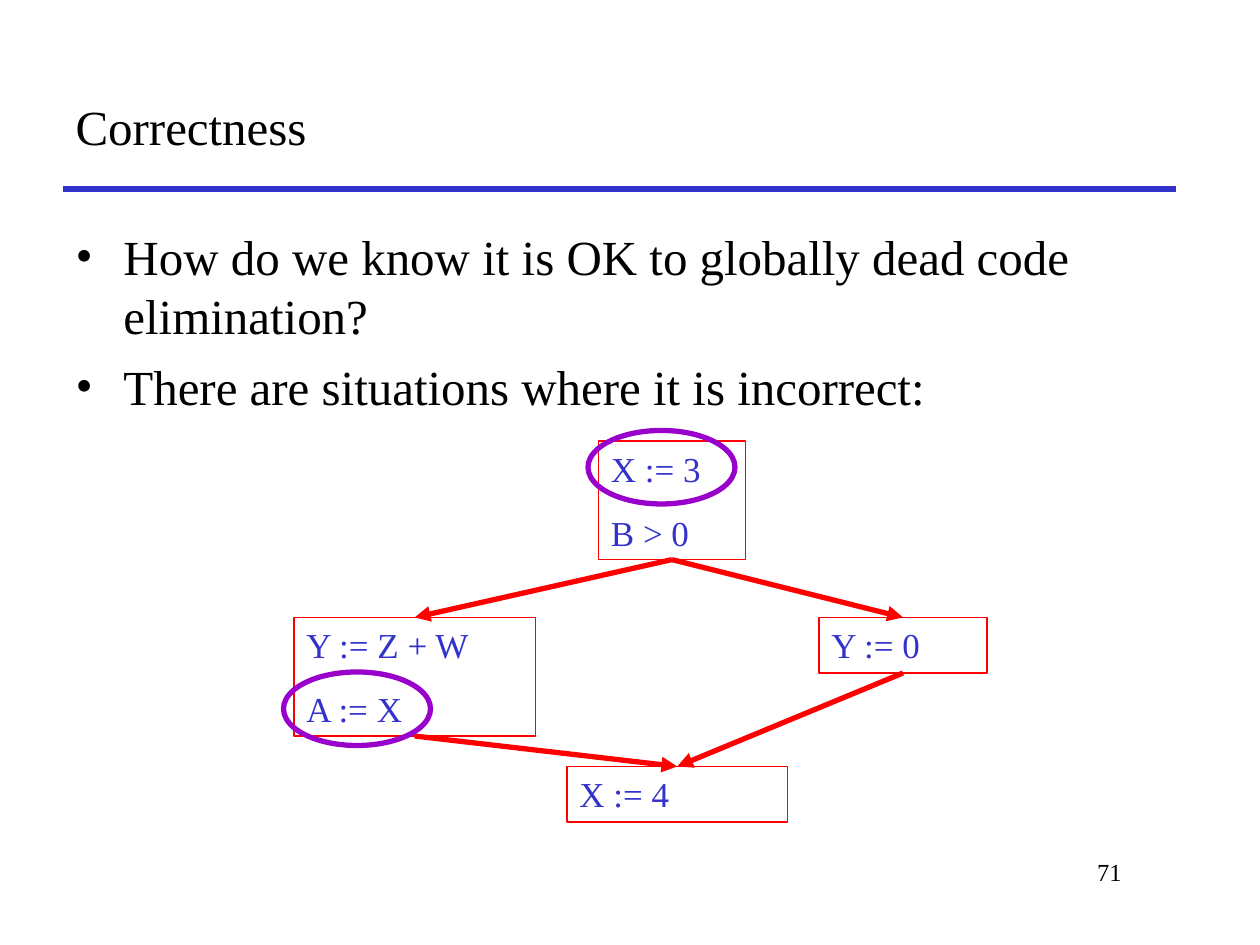
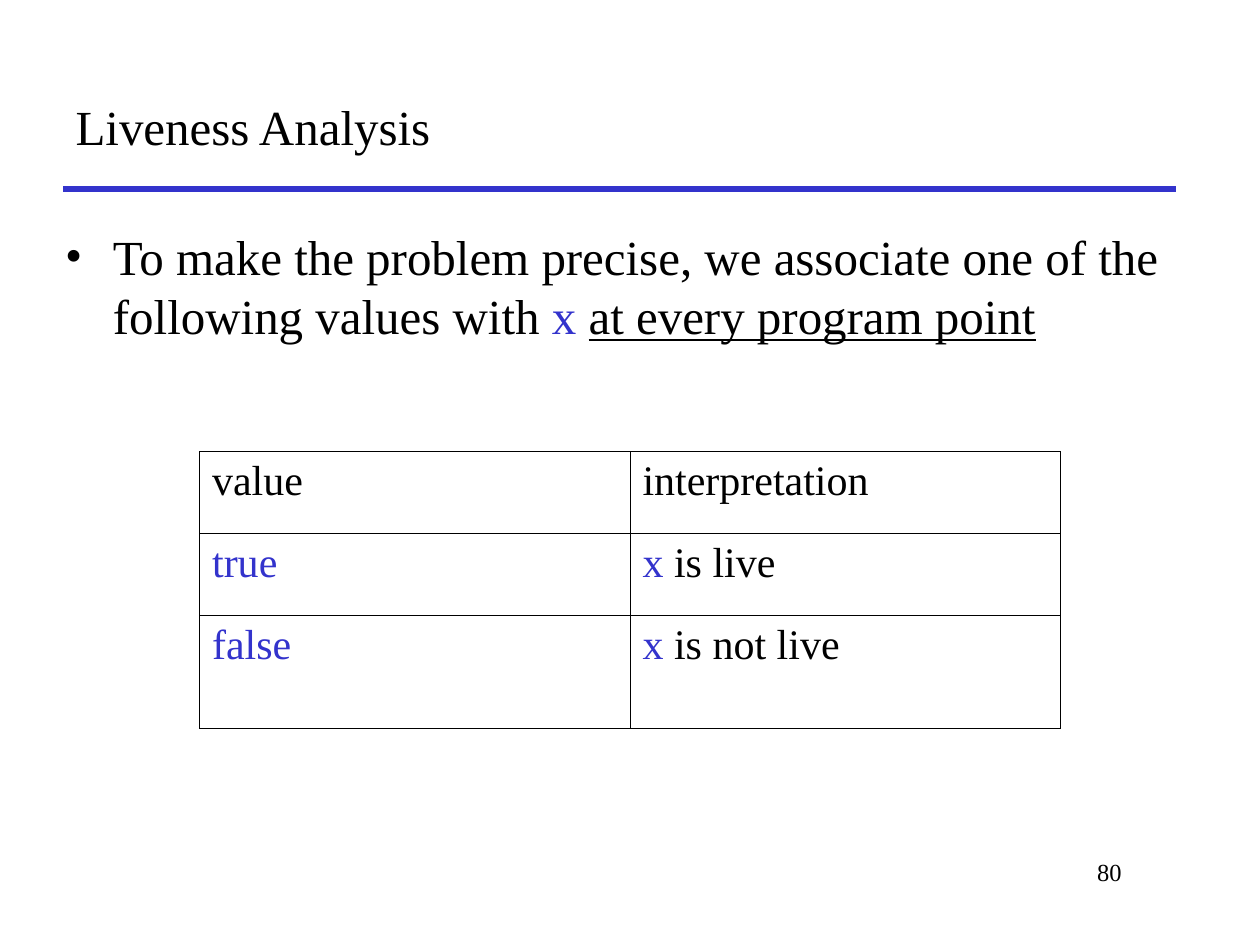
from lxml.etree import SubElement
from pptx import Presentation
from pptx.dml.color import RGBColor
from pptx.enum.shapes import MSO_CONNECTOR, MSO_SHAPE
from pptx.enum.text import MSO_ANCHOR, MSO_AUTO_SIZE, PP_ALIGN
from pptx.oxml.ns import qn
from pptx.util import Inches, Pt

FONT = "Times New Roman"
COLORS = {"text": "000000", "accent": "3333CC", "flow": "FF0000", "highlight": "9900CC"}
GRID = Inches(1) / 12  # the slide is 120 columns by 90 rows
TOP, BOTTOM = 0, 2
BODY_INDENT = Inches(0.38)


def cells(*counts):
    """Turn counts of grid columns or rows into lengths."""
    return [round(count * GRID) for count in counts]


def color(name):
    return RGBColor.from_string(COLORS[name])


def place(shape, *bounds):
    shape.left, shape.top, shape.width, shape.height = cells(*bounds)


def add_run(paragraph, text, size, color_name="text", underline=False):
    run = paragraph.add_run()
    run.text = text
    font = run.font
    font.name, font.size = FONT, Pt(size)
    font.color.rgb = color(color_name)
    if underline:
        font.underline = True


def fill_paragraphs(text_frame, paragraphs, size, space_before=0, line_spacing=None, bullets=False):
    """Write paragraphs, each a list of (text, color, underline) runs."""
    for index, runs in enumerate(paragraphs):
        paragraph = text_frame.add_paragraph() if index else text_frame.paragraphs[0]
        if bullets:
            add_bullet(paragraph)
        paragraph.alignment = PP_ALIGN.LEFT
        paragraph.space_before = Pt(space_before if index else 0)
        if line_spacing:
            paragraph.line_spacing = Pt(line_spacing)
        for run in runs:
            add_run(paragraph, run[0], size, *run[1:])


def add_bullet(paragraph):
    properties = paragraph._p.get_or_add_pPr()
    properties.set("marL", str(BODY_INDENT))
    properties.set("indent", str(-BODY_INDENT))
    SubElement(properties, qn("a:buFont"), typeface=FONT)
    SubElement(properties, qn("a:buChar"), char="•")


def set_outline(shape, color_name, width):
    shape.line.color.rgb = color(color_name)
    shape.line.width = Pt(width)


def add_line(slide, color_name, start=(0, 0), end=(0, 0)):
    connector = slide.shapes.add_connector(MSO_CONNECTOR.STRAIGHT, *cells(*start, *end))
    set_outline(connector, color_name, 3)
    SubElement(connector._element.spPr, qn("a:effectLst"))
    return connector


def add_arrow(slide, source, target):
    """Join the bottom of one block to the top of another."""
    arrow = add_line(slide, "flow")
    arrow.begin_connect(source, BOTTOM)
    arrow.end_connect(target, TOP)
    outline = arrow._element.spPr.find(qn("a:ln"))
    SubElement(outline, qn("a:tailEnd"), type="triangle")


def add_outlined_shape(slide, preset, bounds, color_name, width):
    shape = slide.shapes.add_shape(preset, *cells(*bounds))
    shape.shadow.inherit = False
    shape.fill.background()
    set_outline(shape, color_name, width)
    return shape


def add_block(slide, left, top, width, *statements):
    height = 5.3 + 6 * (len(statements) - 1)
    block = add_outlined_shape(slide, MSO_SHAPE.RECTANGLE, (left, top, width, height), "flow", 0.75)
    text_frame = block.text_frame
    text_frame.word_wrap = True
    text_frame.vertical_anchor = MSO_ANCHOR.TOP
    fill_paragraphs(text_frame, [[(statement, "accent")] for statement in statements],
                    20, space_before=12.5, line_spacing=24)
    return block


def add_highlight(slide, left, top):
    add_outlined_shape(slide, MSO_SHAPE.OVAL, (left, top, 14, 7), "highlight", 3)


def add_content_slide(presentation, title, number, body_bounds, bullets):
    slide = presentation.slides.add_slide(presentation.slide_layouts[1])
    add_line(slide, "accent", (6, 18), (112, 18))

    place(slide.shapes.title, 6, 6, 106, 12)
    title_frame = slide.shapes.title.text_frame
    title_frame.auto_size = MSO_AUTO_SIZE.NONE
    title_frame.vertical_anchor = MSO_ANCHOR.MIDDLE
    fill_paragraphs(title_frame, [[(title,)]], 28)

    body = slide.placeholders[1]
    place(body, *body_bounds)
    body.text_frame.auto_size = MSO_AUTO_SIZE.NONE
    fill_paragraphs(body.text_frame, bullets, 28, space_before=7, line_spacing=33.6, bullets=True)

    number_frame = slide.shapes.add_textbox(*cells(83, 81, 25, 6)).text_frame
    number_frame.word_wrap = True
    fill_paragraphs(number_frame, [[(str(number),)]], 14)
    number_frame.paragraphs[0].alignment = PP_ALIGN.RIGHT
    return slide


def add_cell_borders(cell):
    properties = cell._tc.get_or_add_tcPr()
    for side in ("lnL", "lnR", "lnT", "lnB"):
        border = SubElement(properties, qn(f"a:{side}"), w=str(Pt(0.45)))
        fill = SubElement(border, qn("a:solidFill"))
        SubElement(fill, qn("a:srgbClr"), val=COLORS["text"])


def add_value_table(slide, left, top, column_width, row_heights, rows):
    column_count = len(rows[0])
    frame = slide.shapes.add_table(
        len(rows), column_count,
        *cells(left, top, column_width * column_count, sum(row_heights)))
    table = frame.table
    table.first_row = table.horz_banding = False
    for row_index, (height, row) in enumerate(zip(row_heights, rows)):
        table.rows[row_index].height = cells(height)[0]
        for column_index, runs in enumerate(row):
            cell = table.cell(row_index, column_index)
            add_cell_borders(cell)
            cell.fill.background()
            fill_paragraphs(cell.text_frame, [runs], 24)


def add_correctness_slide(presentation):
    slide = add_content_slide(presentation, "Correctness", 71, (6, 21, 109, 58), [
        [("How do we know it is OK to globally dead code elimination?",)],
        [("There are situations where it is incorrect:",)],
    ])
    entry = add_block(slide, 57, 42, 14, "X := 3", "B > 0")
    left_branch = add_block(slide, 28, 58.8, 23, "Y := Z + W", "A := X")
    right_branch = add_block(slide, 78, 58.8, 16, "Y := 0")
    merge = add_block(slide, 54, 73, 21, "X := 4")
    for branch in (left_branch, right_branch):
        add_arrow(slide, entry, branch)
        add_arrow(slide, branch, merge)
    add_highlight(slide, 27, 64)
    add_highlight(slide, 56, 41)


def add_liveness_slide(presentation):
    slide = add_content_slide(presentation, "Liveness Analysis", 80, (5, 21, 110, 19), [[
        ("To make the problem precise, we associate one of the following values with ",),
        ("x ", "accent"),
        ("at every program point", "text", True),
    ]])
    add_value_table(slide, 19, 43, 41, (7.8, 7.8, 10.8), [
        [[("value",)], [("interpretation",)]],
        [[("true", "accent")], [("x", "accent"), (" is live",)]],
        [[("false", "accent")], [("x", "accent"), (" is not live",)]],
    ])


def main():
    presentation = Presentation()
    presentation.slide_width, presentation.slide_height = cells(120, 90)
    add_correctness_slide(presentation)
    add_liveness_slide(presentation)
    presentation.save("out.pptx")


if __name__ == "__main__":
    main()
